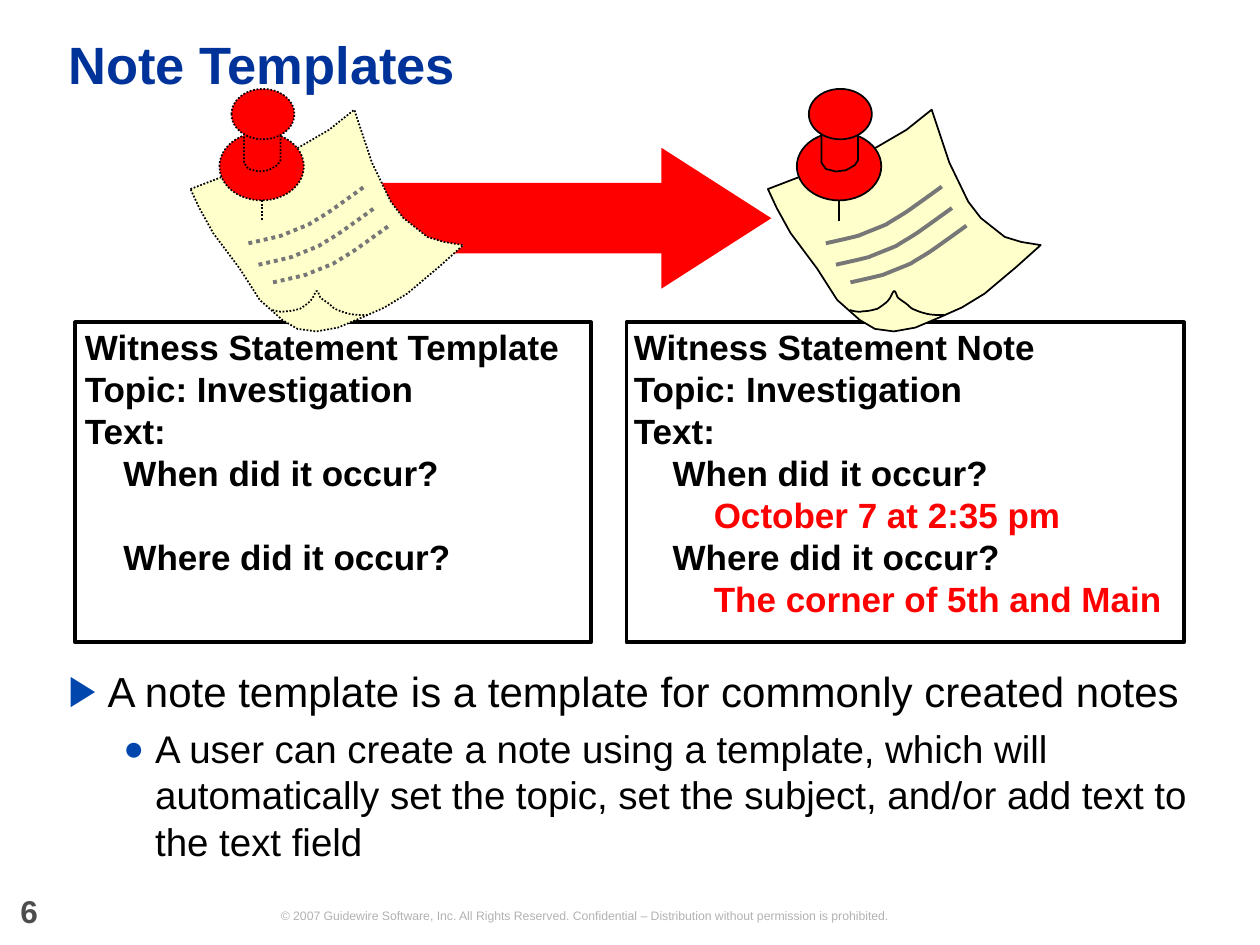
import pptx
import pptx.util
import pptx.dml.color
import pptx.enum.dml
import pptx.enum.shapes
import pptx.enum.text
import pptx.oxml
import pptx.oxml.ns
from pptx.util import Cm, Pt

COLORS = {
    "title": "003399", "text": "000000", "answer": "FF0000", "bullet": "0146AD",
    "footer": "B2B2B2", "number": "4D4D4D", "paper": "FFFFCC", "pin": "FF0000",
    "outline": "000000", "writing": "777777",
}
FONT = "Arial"

TITLE = "Note Templates"
COPYRIGHT = ("© 2007 Guidewire Software, Inc. All Rights Reserved. "
             "Confidential – Distribution without permission is prohibited.")
PAGE_NUMBER = "6"

INDENTS = [0, 0.78, 1.61]
HEADINGS = [("Topic: Investigation", 0, "text", 0), ("Text:", 0, "text", 0),
            ("When did it occur?", 1, "text", 0)]
CARDS = [
    {"frame": (1.52, 6.5, 10.4, 6.45), "text_left": 1.71, "note_left": 3.84, "dotted": True,
     "lines": [("Witness Statement Template", 0, "text", 0), *HEADINGS,
               ("Where did it occur?", 1, "text", 24)]},
    {"frame": (12.63, 6.5, 11.24, 6.45), "text_left": 12.78, "note_left": 15.48, "dotted": False,
     "lines": [("Witness Statement Note", 0, "text", 0), *HEADINGS,
               ("October 7 at 2:35 pm", 2, "answer", 0),
               ("Where did it occur?", 1, "text", 0),
               ("The corner of 5th and Main", 2, "answer", 0)]},
]
BULLETS = [
    {"text": "A note template is a template for commonly created notes",
     "mark": "▶", "mark_size": 100, "size": 24, "left": 0.79, "hang": 0.79, "before": 0},
    {"text": "A user can create a note using a template, which will automatically "
             "set the topic, set the subject, and/or add text to the text field",
     "mark": "●", "mark_size": 90, "size": 22, "left": 1.75, "hang": 0.64, "before": 5.5},
]

NOTE_TOP = 1.78
NOTE_UNIT = 0.0254
PAPER = [(0, 80), (86, 47), (110, 33), (130, 17), (144, 59), (159, 90), (169, 103),
         (188, 118), (201, 122), (216.5, 124.5), (197, 142), (172, 163), (154, 174),
         (136, 182), (117, 190), (100, 193), (85, 191), (73, 184), (55, 168),
         (39, 143), (18, 115), (7, 95), (0, 80)]
PIN_BASE = (23, 35, 67, 54)
PIN_HEAD = (32.5, 0.5, 50, 40)
PIN_NECK = [(42.5, 30), (42.5, 59), (46, 64), (54, 66), (62, 65), (69, 61),
            (71.5, 57), (71.5, 27), (42.5, 30)]
PIN_NEEDLE = [(56.5, 89), (56.5, 105)]
WRITING = [(46, 123), (55, 121), (64, 119), (72, 117), (79, 114), (87, 111), (94, 108),
           (100, 104), (106, 101), (113, 96), (120, 91), (134, 81), (138, 78)]
WRITING_OFFSETS = [(8, 17), (19.5, 31), (0, 0)]
CURL = [(65, 176), (68, 177), (72, 178), (76, 177), (80, 177), (83, 176), (87, 175),
        (90, 173), (93, 171), (95, 169), (98, 166), (99, 161), (100, 161),
        (101, 160), (102, 164), (103, 166), (105, 168), (109, 170), (111, 172),
        (113, 174), (114, 175), (117, 176), (119, 177), (122, 178), (126, 179),
        (130, 180), (135, 180), (140, 180)]

SHAPE = pptx.enum.shapes.MSO_SHAPE
ALIGN = pptx.enum.text.PP_ALIGN
ANCHOR = pptx.enum.text.MSO_ANCHOR


def rgb(name):
    return pptx.dml.color.RGBColor.from_string(COLORS[name])


def add_element(parent, tag, **attributes):
    element = pptx.oxml.parse_xml(f"<a:{tag} {pptx.oxml.ns.nsdecls('a')}/>")
    for key, value in attributes.items():
        element.set(key, value)
    parent.append(element)
    return element


def add_text_frame(slide, box, anchor=ANCHOR.TOP):
    frame = slide.shapes.add_textbox(*map(Cm, box)).text_frame
    frame.margin_left = frame.margin_top = frame.margin_right = frame.margin_bottom = 0
    frame.word_wrap = True
    frame.vertical_anchor = anchor
    return frame


def write(paragraph, text, size, color, bold=False, align=ALIGN.LEFT):
    paragraph.text = text
    paragraph.alignment = align
    for run in paragraph.runs:
        run.font.name, run.font.size, run.font.bold = FONT, Pt(size), bold
        run.font.color.rgb = rgb(color)


def paragraphs(frame, items):
    for i, item in enumerate(items):
        yield (frame.add_paragraph() if i else frame.paragraphs[0]), item


def draw_line(line, color, width, dotted=False):
    line.color.rgb = rgb(color)
    line.width = Pt(width)
    if dotted:
        line.dash_style = pptx.enum.dml.MSO_LINE.ROUND_DOT


def paint(shape, fill=None, line=None, width=1, dotted=False):
    shape.shadow.inherit = False
    if fill:
        shape.fill.solid()
        shape.fill.fore_color.rgb = rgb(fill)
    else:
        shape.fill.background()
    if line:
        draw_line(shape.line, line, width, dotted)
    else:
        shape.line.fill.background()


def bend(shape):
    segments = shape._element.xpath(".//a:lnTo")
    outline = segments[0].getparent()
    for i in range(0, len(segments), 3):
        curve = add_element(outline, "cubicBezTo")
        for segment in segments[i:i + 3]:
            curve.append(segment[0])
            outline.remove(segment)


def add_note(slide, left, dotted):
    def place(x, y):
        return Cm(left + x * NOTE_UNIT), Cm(NOTE_TOP + y * NOTE_UNIT)

    def outline(points, fill=None, color="outline", width=1):
        start, *rest = [place(*point) for point in points]
        builder = slide.shapes.build_freeform(*start)
        builder.add_line_segments(rest, close=fill is not None)
        shape = builder.convert_to_shape()
        if not fill:
            bend(shape)
        paint(shape, fill, color, width, dotted)

    def disc(x, y, width, height):
        oval = slide.shapes.add_shape(SHAPE.OVAL, *place(x, y),
                                      Cm(width * NOTE_UNIT), Cm(height * NOTE_UNIT))
        paint(oval, "pin", "outline", 1, dotted)

    outline(PAPER, "paper")
    disc(*PIN_BASE)
    outline(PIN_NECK, "pin")
    needle = slide.shapes.add_connector(pptx.enum.shapes.MSO_CONNECTOR.STRAIGHT,
                                        *place(*PIN_NEEDLE[0]), *place(*PIN_NEEDLE[1]))
    draw_line(needle.line, "outline", 1, dotted)
    add_element(needle._element.spPr, "effectLst")
    for dx, dy in WRITING_OFFSETS:
        outline([(x + dx, y + dy) for x, y in WRITING], color="writing", width=2.25)
    outline(CURL)
    disc(*PIN_HEAD)


def main():
    deck = pptx.Presentation()
    deck.slide_width, deck.slide_height = Cm(25.4), Cm(19.05)
    slide = deck.slides.add_slide(deck.slide_layouts[6])

    footer = add_text_frame(slide, (3.02, 18.31, 17.53, 0.3), ANCHOR.MIDDLE)
    write(footer.paragraphs[0], COPYRIGHT, 7, "footer", align=ALIGN.CENTER)
    number = add_text_frame(slide, (0.41, 18.11, 1.45, 0.64)).paragraphs[0]
    write(number, PAGE_NUMBER, 18, "number", bold=True)
    number.line_spacing = Pt(18)

    arrow = slide.shapes.add_shape(SHAPE.RIGHT_ARROW, Cm(6.71), Cm(2.98), Cm(8.84), Cm(2.84))
    arrow.adjustments[0], arrow.adjustments[1] = 0.5, 0.78
    paint(arrow, "pin")

    title = add_text_frame(slide, (1.38, 0.33, 23.11, 2.06), ANCHOR.MIDDLE).paragraphs[0]
    write(title, TITLE, 30, "title", bold=True)
    title.line_spacing = 0.9

    body = add_text_frame(slide, (1.38, 13.41, 23.11, 4.83))
    for paragraph, item in paragraphs(body, BULLETS):
        write(paragraph, item["text"], item["size"], "text")
        paragraph.space_before = Pt(item["before"])
        properties = paragraph._p.get_or_add_pPr()
        properties.set("marL", str(Cm(item["left"])))
        properties.set("indent", str(-Cm(item["hang"])))
        add_element(add_element(properties, "buClr"), "srgbClr", val=COLORS["bullet"])
        add_element(properties, "buSzPct", val=str(item["mark_size"] * 1000))
        add_element(properties, "buFont", typeface=FONT)
        add_element(properties, "buChar", char=item["mark"])

    for card in CARDS:
        left, top, width, height = card["frame"]
        text_width = left + width - card["text_left"]
        frame = add_text_frame(slide, (card["text_left"], 6.57, text_width, 5.92))
        for paragraph, (text, level, color, before) in paragraphs(frame, card["lines"]):
            write(paragraph, text, 20, color, bold=True)
            paragraph.space_before = Pt(before)
            paragraph._p.get_or_add_pPr().set("marL", str(Cm(INDENTS[level])))
    for card in CARDS:
        paint(slide.shapes.add_shape(SHAPE.RECTANGLE, *map(Cm, card["frame"])),
              line="outline", width=2.25)
    for card in CARDS:
        add_note(slide, card["note_left"], card["dotted"])

    deck.save("out.pptx")


if __name__ == "__main__":
    main()
